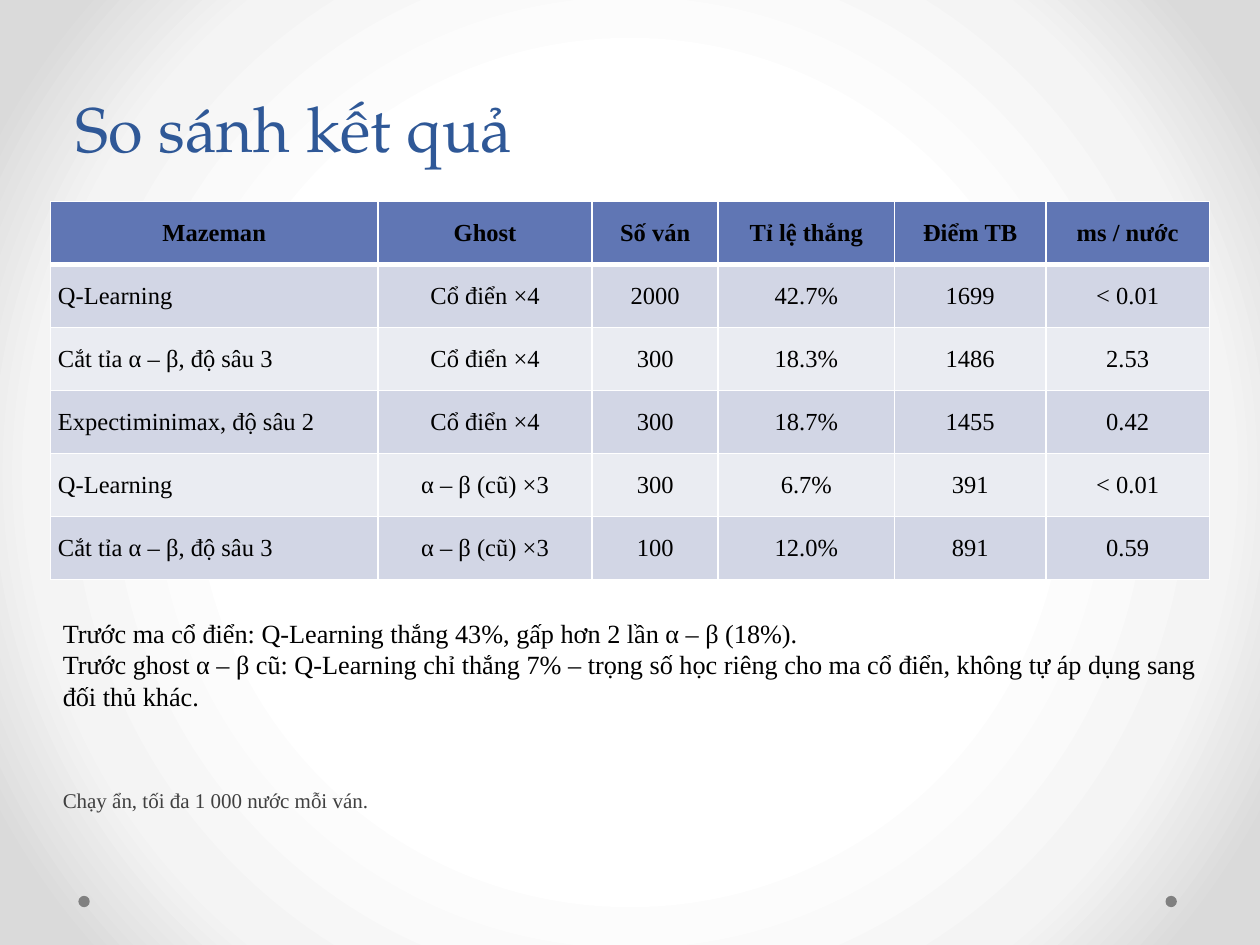
"""Build the slide that compares game agents by results."""
import pptx
import pptx.dml.color
import pptx.enum.shapes
import pptx.enum.text
import pptx.oxml
import pptx.oxml.ns
import pptx.util

Pt = pptx.util.Pt
ALIGN = pptx.enum.text.PP_ALIGN
ANCHOR = pptx.enum.text.MSO_ANCHOR
AUTO_SIZE = pptx.enum.text.MSO_AUTO_SIZE

BODY_FONT = "Times New Roman"
LEFT, WIDTH = 28.8, 662.4
ROW_HEIGHT = 36
COLUMN_WIDTHS = [187.2, 122.4, 72, 100.8, 86.4, 93.6]
HEADER_FILL = "6076B4"
BAND_FILLS = ["EAECF2", "D2D6E5"]
BACKGROUND_STOPS = [(50, "FFFFFF"), (76, "F4F4F4"), (92, "DADADA")]
RESULTS = [
    ["Mazeman", "Ghost", "Số ván", "Tỉ lệ thắng", "Điểm TB", "ms / nước"],
    ["Q-Learning", "Cổ điển ×4", "2000", "42.7%", "1699", "< 0.01"],
    ["Cắt tỉa α – β, độ sâu 3", "Cổ điển ×4", "300", "18.3%", "1486", "2.53"],
    ["Expectiminimax, độ sâu 2", "Cổ điển ×4", "300", "18.7%", "1455", "0.42"],
    ["Q-Learning", "α – β (cũ) ×3", "300", "6.7%", "391", "< 0.01"],
    ["Cắt tỉa α – β, độ sâu 3", "α – β (cũ) ×3", "100", "12.0%", "891", "0.59"],
]
FINDINGS = [
    "Trước ma cổ điển: Q-Learning thắng 43%, gấp hơn 2 lần α – β (18%).",
    "Trước ghost α – β cũ: Q-Learning chỉ thắng 7% – trọng số học riêng cho ma "
    "cổ điển, không tự áp dụng sang đối thủ khác.",
]


def color(value):
    """Return the colour for a hex string."""
    return pptx.dml.color.RGBColor.from_string(value)


def style(paragraph, size, hex_color, font=BODY_FONT, bold=False):
    """Set the font of a whole paragraph."""
    paragraph.font.name = font
    paragraph.font.size = Pt(size)
    paragraph.font.bold = bold
    paragraph.font.color.rgb = color(hex_color)


def set_background(slide):
    """Give the slide a circular gradient that darkens outwards."""
    slide.background.fill.gradient()
    stops = "".join(
        f'<a:gs pos="{position * 1000}"><a:srgbClr val="{value}"/></a:gs>'
        for position, value in BACKGROUND_STOPS
    )
    gradient = pptx.oxml.parse_xml(
        f'<a:gradFill {pptx.oxml.ns.nsdecls("a")} rotWithShape="1">'
        f'<a:gsLst>{stops}</a:gsLst><a:path path="circle">'
        '<a:fillToRect l="50000" t="50000" r="50000" b="50000"/>'
        '</a:path></a:gradFill>'
    )
    default = next(slide.element.iter(pptx.oxml.ns.qn("a:gradFill")))
    default.getparent().replace(default, gradient)


def add_dot(slide, left):
    """Add a small grey dot near the bottom edge."""
    dot = slide.shapes.add_shape(
        pptx.enum.shapes.MSO_SHAPE.OVAL, Pt(left), Pt(511.9), Pt(6.5), Pt(6.5)
    )
    dot.shadow.inherit = False
    dot.fill.solid()
    dot.fill.fore_color.rgb = color("808080")
    dot.line.fill.background()


def set_title(slide, text):
    """Place and format the title."""
    title = slide.shapes.title
    title.left, title.top, title.width, title.height = Pt(36), Pt(25.9), Pt(648), Pt(72)
    frame = title.text_frame
    frame.text = text
    frame.auto_size = AUTO_SIZE.NONE
    frame.vertical_anchor = ANCHOR.BOTTOM
    paragraph = frame.paragraphs[0]
    paragraph.alignment = ALIGN.LEFT
    paragraph.line_spacing = Pt(58)
    style(paragraph, 36, "2F5897", font="TeX Gyre Pagella")


def set_borders(cell, top, bottom):
    """Draw white borders around a cell, with widths in points."""
    widths = {"lnL": 1, "lnR": 1, "lnT": top, "lnB": bottom}
    for index, (side, width) in enumerate(widths.items()):
        border = pptx.oxml.parse_xml(
            f'<a:{side} {pptx.oxml.ns.nsdecls("a")} w="{Pt(width)}">'
            f'<a:solidFill><a:srgbClr val="FFFFFF"/></a:solidFill></a:{side}>'
        )
        cell._tc.get_or_add_tcPr().insert(index, border)


def format_cell(cell, text, row, column):
    """Fill one table cell according to its row and column."""
    is_header = row == 0
    cell.text = text
    cell.vertical_anchor = ANCHOR.MIDDLE
    cell.margin_left = cell.margin_right = Pt(4.32)
    cell.margin_top = cell.margin_bottom = Pt(3.6)
    cell.fill.solid()
    cell.fill.fore_color.rgb = color(HEADER_FILL if is_header else BAND_FILLS[row % 2])
    set_borders(cell, top=3 if row == 1 else 1, bottom=3 if is_header else 1)
    paragraph = cell.text_frame.paragraphs[0]
    paragraph.alignment = ALIGN.CENTER if is_header or column else ALIGN.LEFT
    style(paragraph, 14, "000000", bold=is_header)


def add_results_table(slide):
    """Add the table of results."""
    table = slide.shapes.add_table(
        len(RESULTS), len(COLUMN_WIDTHS), Pt(LEFT), Pt(115.2),
        Pt(WIDTH), Pt(ROW_HEIGHT * len(RESULTS)),
    ).table
    for column, width in zip(table.columns, COLUMN_WIDTHS):
        column.width = Pt(width)
    for row, values in enumerate(RESULTS):
        for column, text in enumerate(values):
            format_cell(table.cell(row, column), text, row, column)


def add_text(slide, top, height, lines, size, hex_color):
    """Add a full-width text box with one paragraph per line."""
    frame = slide.shapes.add_textbox(Pt(LEFT), Pt(top), Pt(WIDTH), Pt(height)).text_frame
    frame.word_wrap = True
    frame.auto_size = AUTO_SIZE.SHAPE_TO_FIT_TEXT
    frame.text = "\n".join(lines)
    for paragraph in frame.paragraphs:
        style(paragraph, size, hex_color)


def main():
    """Build and save the slide."""
    deck = pptx.Presentation()
    deck.slide_width, deck.slide_height = Pt(720), Pt(540)
    slide = deck.slides.add_slide(deck.slide_layouts.get_by_name("Title Only"))
    set_background(slide)
    for left in (666, 44.8):
        add_dot(slide, left)
    set_title(slide, "So sánh kết quả")
    add_results_table(slide)
    add_text(slide, 349.2, 108, FINDINGS, 15, "000000")
    add_text(slide, 446.4, 28.8, ["Chạy ẩn, tối đa 1 000 nước mỗi ván."], 12, "404040")
    deck.save("out.pptx")


if __name__ == "__main__":
    main()
